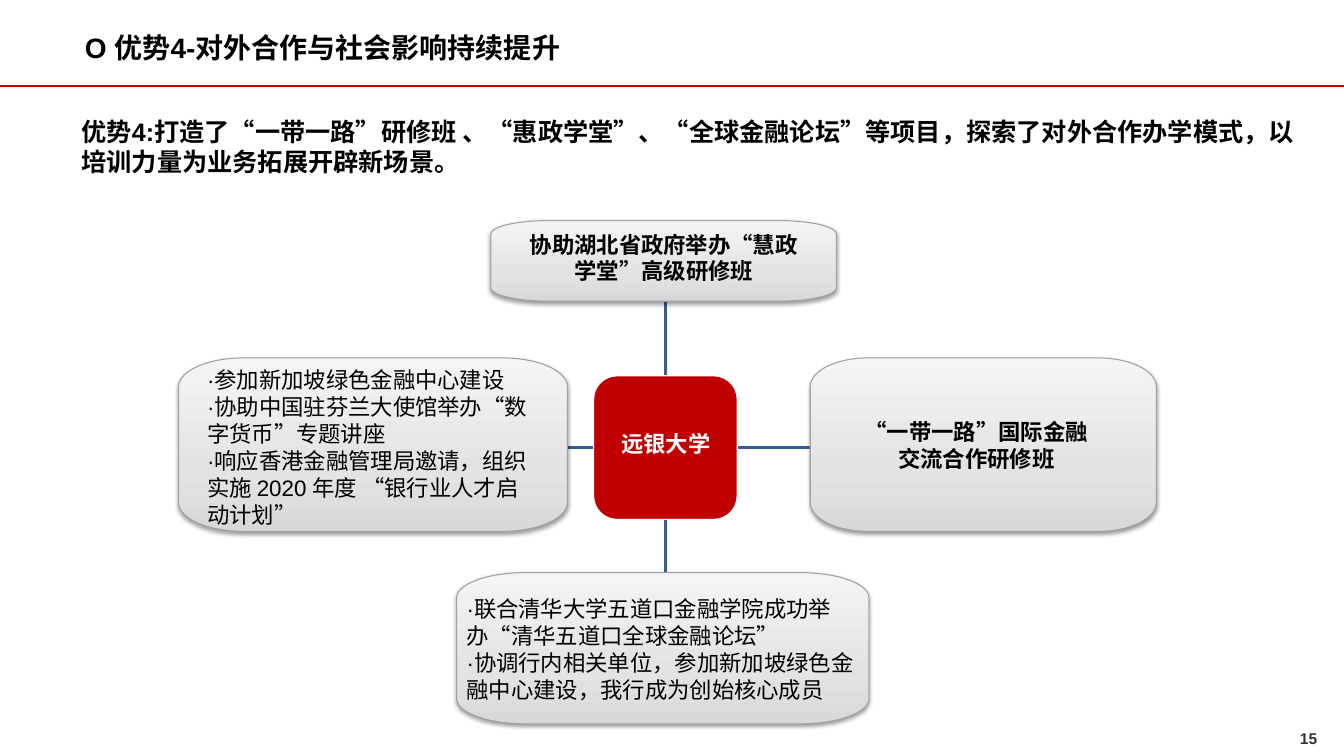
"""Build the slide on external cooperation: a red hub linked to four project boxes."""
from lxml import etree
from pptx import Presentation
from pptx import util as u
from pptx.dml.color import RGBColor
from pptx.enum import shapes, text
from pptx.oxml import parse_xml
from pptx.oxml.ns import nsdecls, qn

LEFT, CENTER, RIGHT = text.PP_ALIGN.LEFT, text.PP_ALIGN.CENTER, text.PP_ALIGN.RIGHT
MIDDLE = text.MSO_ANCHOR.MIDDLE
CURVE = 0.5523
GRADIENT = f"""<a:gradFill {nsdecls('a')} rotWithShape="1"><a:gsLst>
<a:gs pos="0"><a:srgbClr val="D8D8D8"/></a:gs>
<a:gs pos="35000"><a:srgbClr val="E3E3E3"/></a:gs>
<a:gs pos="100000"><a:srgbClr val="F4F4F4"/></a:gs>
</a:gsLst><a:lin ang="16200000" scaled="1"/></a:gradFill>"""
SHADOW = f"""<a:outerShdw {nsdecls('a')} blurRad="39370" dist="20320" dir="5400000"
rotWithShape="0"><a:srgbClr val="000000"><a:alpha val="38000"/></a:srgbClr></a:outerShdw>"""


def write(shape, lines, size, color="000000", bold=False, align=LEFT,
          anchor=text.MSO_ANCHOR.TOP):
    frame = shape.text_frame
    frame.text = "\n".join(lines)
    frame.word_wrap = True
    frame.auto_size = text.MSO_AUTO_SIZE.NONE
    frame.vertical_anchor = anchor
    for paragraph in frame.paragraphs:
        paragraph.alignment = align
        for run in paragraph.runs:
            run.font.name = "Arial"
            run.font.size = u.Pt(size)
            run.font.bold = bold
            run.font.color.rgb = RGBColor.from_string(color)


def draw_line(start, end, color, width):
    points = [u.Cm(value) for value in (*start, *end)]
    line = slide.shapes.add_connector(shapes.MSO_CONNECTOR.STRAIGHT, *points)
    line.line.color.rgb = RGBColor.from_string(color)
    line.line.width = u.Pt(width)
    etree.SubElement(line._element.spPr, qn("a:effectLst"))


presentation = Presentation()
presentation.slide_width = u.Cm(33.87)
presentation.slide_height = u.Cm(19.05)
slide = presentation.slides.add_slide(presentation.slide_layouts[5])

draw_line((0, 2.16), (33.87, 2.16), "C00000", 1.5)

page_number = slide.shapes.add_textbox(u.Cm(26.14), u.Cm(18.36), u.Cm(7.06), u.Cm(0.48))
write(page_number, ["15"], 11.1, "333333", True, RIGHT)
frame = page_number.text_frame
frame.margin_left = frame.margin_top = frame.margin_right = frame.margin_bottom = 0

heading = slide.shapes.add_textbox(u.Cm(1.89), u.Cm(0.86), u.Cm(30.07), u.Cm(0.64))
write(heading, ["O 优势4-对外合作与社会影响持续提升"], 20, bold=True, anchor=MIDDLE)

title = slide.shapes.title
title.left, title.top, title.width, title.height = map(u.Cm, (1.8, 2.73, 31.4, 1.9))
write(title, ["优势4:打造了“一带一路”研修班 、“惠政学堂”、“全球金融论坛”等项目，"
              "探索了对外合作办学模式，以培训力量为业务拓展开辟新场景。"],
      18, bold=True, anchor=MIDDLE)

hub_x, hub_y, hub_half = 16.77, 11.28, 1.83
hub_area = (hub_x - hub_half, hub_y - hub_half, 2 * hub_half, 2 * hub_half)
boxes = [hub_area, (12.37, 5.56, 8.71, 2.03), (20.42, 9.02, 8.72, 4.37),
         (11.51, 14.43, 10.39, 3.81), (4.5, 9.02, 9.8, 4.37)]
for area in boxes:
    left, top, width, height = map(u.Cm, area)
    radius_x, radius_y = width // 6, height // 6
    right, bottom = left + width, top + height
    outline = [(left, top + radius_y), (left + radius_x, top),
               (right - radius_x, top), (right, top + radius_y),
               (right, bottom - radius_y), (right - radius_x, bottom),
               (left + radius_x, bottom), (left, bottom - radius_y)]
    builder = slide.shapes.build_freeform(*outline[0])
    builder.add_line_segments(outline[1:], close=True)
    box = builder.convert_to_shape()
    box.shadow.inherit = False
    properties = box._element.spPr

    for corner, segment in enumerate(list(properties.iter(qn("a:lnTo")))[::2]):
        (x1, y1), (x2, y2) = outline[2 * corner:2 * corner + 2]
        corner_x, corner_y = (x2, y1) if corner % 2 else (x1, y2)
        segment.tag = qn("a:cubicBezTo")
        for position, (x, y) in enumerate([(x1, y1), (x2, y2)]):
            control = etree.Element(qn("a:pt"))
            control.set("x", str(round(x + CURVE * (corner_x - x) - left)))
            control.set("y", str(round(y + CURVE * (corner_y - y) - top)))
            segment.insert(position, control)

    is_hub = area == hub_area
    box.line.color.rgb = RGBColor.from_string("FFFFFF" if is_hub else "A1A1A1")
    box.line.width = u.Pt(2 if is_hub else 0.75)
    if is_hub:
        box.fill.solid()
        box.fill.fore_color.rgb = RGBColor.from_string("C00000")
        for dx, dy in ((0, -1), (1, 0), (0, 1), (-1, 0)):
            draw_line((hub_x + dx * hub_half, hub_y + dy * hub_half),
                      (hub_x + 2 * dx * hub_half, hub_y + 2 * dy * hub_half),
                      "365B9D", 2)
    else:
        properties.find(qn("a:custGeom")).addnext(parse_xml(GRADIENT))
        properties.find(qn("a:effectLst")).append(parse_xml(SHADOW))

hub_label = slide.shapes.add_textbox(u.Cm(15.41), u.Cm(10.72), u.Cm(2.82), u.Cm(0.94))
write(hub_label, ["远银大学"], 16, "FFFFFF", True)
hub_label.text_frame.word_wrap = False

labels = [
    ((11.51, 14.87, 10.59, 3), False,
     ["·联合清华大学五道口金融学院成功举办“清华五道口全球金融论坛”",
      "·协调行内相关单位，参加新加坡绿色金融中心建设，我行成为创始核心成员"]),
    ((21.53, 10.41, 6.15, 1.63), True,
     ["“一带一路”国际金融交流合作研修班"]),
    ((4.97, 9.11, 8.81, 4.37), False,
     ["·参加新加坡绿色金融中心建设",
      "·协助中国驻芬兰大使馆举办“数字货币”专题讲座",
      "·响应香港金融管理局邀请，组织实施 2020 年度 “银行业人才启动计划”"]),
    ((13.07, 5.69, 7.32, 1.63), True,
     ["协助湖北省政府举办“慧政学堂”高级研修班"]),
]
for area, is_heading, lines in labels:
    label = slide.shapes.add_textbox(*map(u.Cm, area))
    write(label, lines, 16, bold=is_heading, align=CENTER if is_heading else LEFT)

presentation.save("out.pptx")
